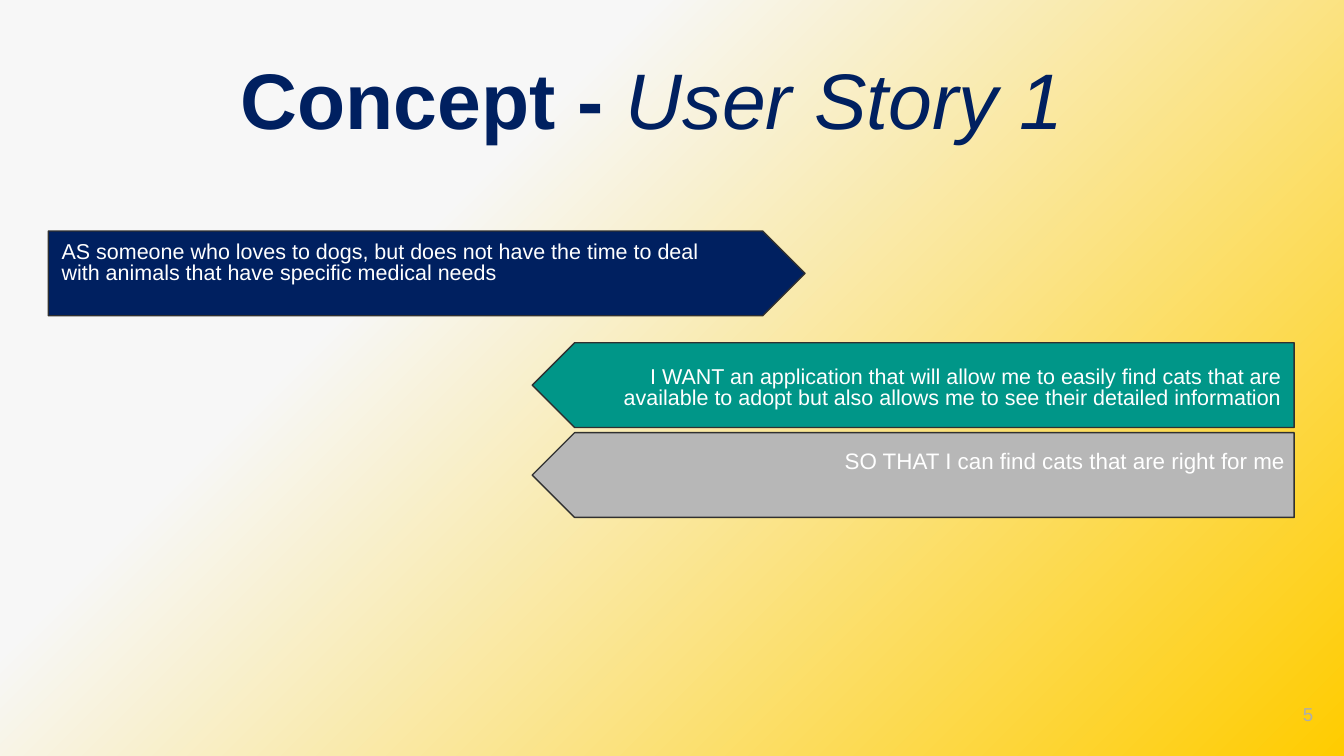
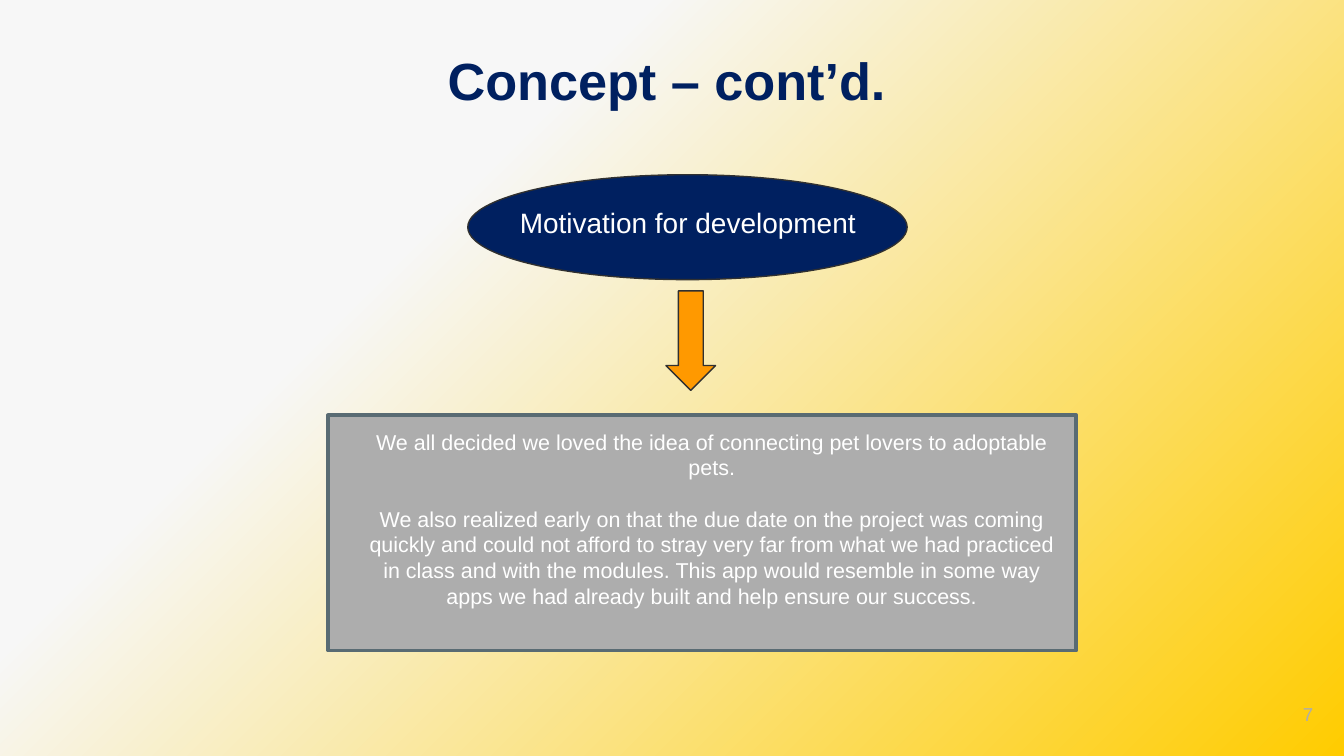
from lxml import etree
from pptx import Presentation
from pptx.dml.color import RGBColor
from pptx.enum.shapes import MSO_SHAPE
from pptx.enum.text import MSO_ANCHOR, PP_ALIGN
from pptx.oxml.ns import qn
from pptx.util import Pt

TAG = MSO_SHAPE.PENTAGON
OVAL = MSO_SHAPE.OVAL
RECT = MSO_SHAPE.RECTANGLE
ARROW = MSO_SHAPE.RIGHT_ARROW
LEFT, MID, RIGHT = PP_ALIGN.LEFT, PP_ALIGN.CENTER, PP_ALIGN.RIGHT
TOP, CENTER = MSO_ANCHOR.TOP, MSO_ANCHOR.MIDDLE

FONT = "Arial"
HEX = {
    "navy": "002060", "teal": "009688", "silver": "B7B7B7", "gray": "ADADAD",
    "orange": "FF9900", "white": "FFFFFF", "ink": "303030", "slate": "596B73",
    "gold": "FFCC00", "mist": "F7F7F7", "snow": "FAFAFA",
}
STOPS = [(0, "gold"), (69, "mist"), (74, "mist"), (100, "snow")]
INSET = 7.2


def tint(name):
    """Return the named colour."""
    return RGBColor.from_string(HEX[name])


def inner(box, dx, dy, w, h):
    """Return a box of the given size, offset from the corner of another."""
    return box[0] + dx, box[1] + dy, w, h


def style(run, size, color, bold=False, italic=False):
    """Set the font of a run."""
    font = run.font
    font.name, font.size = FONT, Pt(size)
    font.bold, font.italic = bold, italic
    font.color.rgb = tint(color)


def write(slide, box, paras, size, color="white", align=LEFT, bold=False,
          anchor=TOP, top=INSET, line=None, gap=0):
    """Add a text box with one paragraph per string and return its frame."""
    frame = slide.shapes.add_textbox(*map(Pt, box)).text_frame
    frame.word_wrap = True
    frame.vertical_anchor = anchor
    frame.margin_left = frame.margin_right = frame.margin_bottom = Pt(INSET)
    frame.margin_top = Pt(top)
    frame.text = "\n".join(paras)
    for i, para in enumerate(frame.paragraphs):
        para.alignment = align
        if line:
            para.line_spacing = line
        if i and gap:
            para.space_before = Pt(gap)
        for run in para.runs:
            style(run, size, color, bold)
    return frame


def draw(slide, kind, box, fill, edge="ink", width=0.75, turn=0):
    """Add a filled and outlined preset shape."""
    shape = slide.shapes.add_shape(kind, *map(Pt, box))
    shape.shadow.inherit = False
    shape.rotation = turn
    shape.fill.solid()
    shape.fill.fore_color.rgb = tint(fill)
    shape.line.color.rgb = tint(edge)
    shape.line.width = Pt(width)


def start(deck, number):
    """Add a slide with the shared background and page number."""
    slide = deck.slides.add_slide(deck.slide_layouts[6])
    fill = slide.background.fill
    fill.gradient()
    fill.gradient_angle = 135
    stops = next(slide.element.iter(qn("a:gsLst")))
    for stop in list(stops):
        stops.remove(stop)
    for pos, name in STOPS:
        stop = etree.SubElement(stops, qn("a:gs"), pos=str(pos * 1000))
        etree.SubElement(stop, qn("a:srgbClr"), val=HEX[name])
    write(slide, (667.4, 367.2, 43.2, 31), [number], 10, "gray", RIGHT,
          anchor=CENTER)
    return slide


def title(slide, left, top, text, size, align=LEFT):
    """Add the bold slide title and return its paragraph."""
    box = left, top, 476.6, 56.2
    return write(slide, box, [text], size, "navy", align, True).paragraphs[0]


def band(slide, box, fill, turn, label, text, size, **look):
    """Add a pointed band with a label placed relative to it."""
    draw(slide, TAG, box, fill, turn=turn)
    write(slide, inner(box, *label), [text], size, **look)


def story(deck):
    """Build the user story slide."""
    slide = start(deck, "5")
    head = title(slide, 121.7, 20.2, "Concept - ", 42.2)
    run = head.add_run()
    run.text = "User Story 1"
    style(run, 42.2, "navy", italic=True)
    band(slide, (25.9, 123.8, 405.4, 45.4), "navy", 0,
         (0, -17.2, 372.2, 45.4),
         "AS someone who loves to dogs, but does not have the time to deal "
         "with animals that have specific medical needs",
         11.5, line=0.8, top=32.4)
    band(slide, (285.1, 183.6, 408.2, 45.4), "teal", 180,
         (20.9, 6.5, 387.4, 31.7),
         "I WANT an application that will allow me to easily find cats that "
         "are available to adopt but also allows me to see their detailed "
         "information",
         11.5, line=0.8, align=RIGHT)
    band(slide, (285.1, 231.8, 408.2, 45.4), "silver", 180,
         (59.1, 0.8, 351.4, 45.4),
         "SO THAT I can find cats that are right for me", 12, align=RIGHT)


def topic(slide, box):
    """Add the oval with the topic."""
    draw(slide, OVAL, box, "navy")
    write(slide, inner(box, 20.8, 9.4, 205.2, 46.8),
          ["Motivation for development"], 15)


def reason(slide, box):
    """Add the panel with the reasons."""
    draw(slide, RECT, box, "gray", "slate", 2)
    write(slide, inner(box, 10.1, 0, 391, 112.3), [
        "We all decided we loved the idea of connecting pet lovers to "
        "adoptable pets.",
        "We also realized early on that the due date on the project was "
        "coming quickly and could not afford to stray very far from what we "
        "had practiced in class and with the modules. This app would "
        "resemble in some way apps we had already built and help ensure our "
        "success.",
    ], 11.5, align=MID, gap=13.6)


def motive(deck):
    """Build the motivation slide."""
    slide = start(deck, "7")
    title(slide, 118.8, 18.7, "Concept – cont’d.", 28, MID)
    topic(slide, (250.6, 93.6, 235.4, 56.2))
    draw(slide, ARROW, (343.4, 169.2, 53.3, 26.6), "orange", turn=90)
    reason(slide, (175.7, 222.5, 401, 126))


def main():
    """Build and save the deck."""
    deck = Presentation()
    deck.slide_width, deck.slide_height = Pt(720), Pt(405)
    story(deck)
    motive(deck)
    deck.save("out.pptx")


if __name__ == "__main__":
    main()
